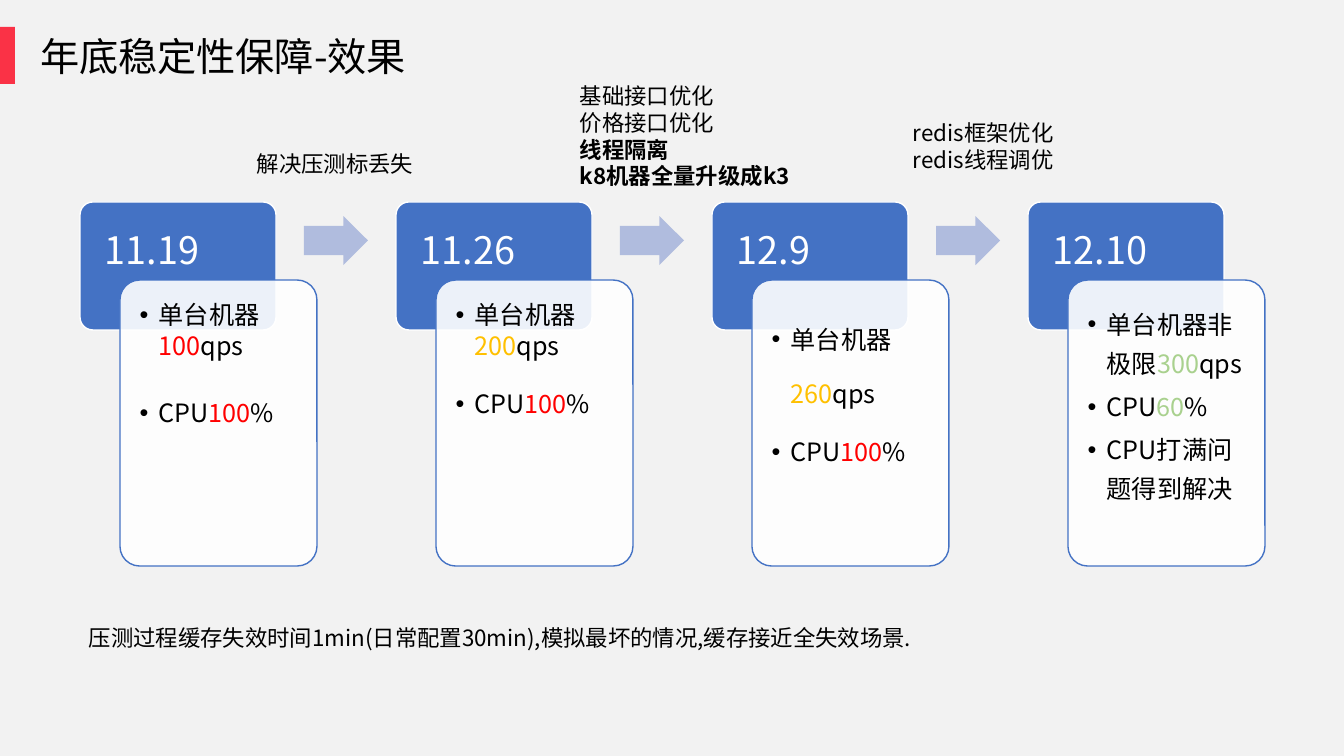
import pptx
import pptx.dml.color
import pptx.enum.shapes
import pptx.enum.text
import pptx.oxml.ns
import pptx.util
from lxml import etree

EMU_PER_PX = 914400 / 100.8
FONT = "Noto Sans CJK SC"
COLORS = {
    "background": "F2F2F2", "accent": "FA3246", "blue": "4472C4",
    "arrow": "B0BCDE", "white": "FFFFFF", "black": "000000",
    "red": "FF0000", "amber": "FFC000", "green": "A9D18E",
}
SHAPES = pptx.enum.shapes.MSO_SHAPE

STAGE_LEFT, STAGE_PITCH = 80, 316
# Each stage: date, then bullets as (line spacing, runs of (text, color)).
STAGES = [
    ("11.19", [(1.0, [("单台机器", "black"), ("100", "red"), ("qps", "black")]),
               (2.1, [("CPU", "black"), ("100", "red"), ("%", "black")])]),
    ("11.26", [(1.0, [("单台机器", "black"), ("200", "amber"), ("qps", "black")]),
               (1.8, [("CPU", "black"), ("100", "red"), ("%", "black")])]),
    ("12.9", [(1.8, [("单台机器", "black"), ("260", "amber"), ("qps", "black")]),
              (1.8, [("CPU", "black"), ("100", "red"), ("%", "black")])]),
    ("12.10", [(1.3, [("单台机器非极限", "black"), ("300", "green"), ("qps", "black")]),
               (1.3, [("CPU", "black"), ("60", "green"), ("%", "black")]),
               (1.3, [("CPU打满问题得到解决", "black")])]),
]
# Each note: box, then lines as (text, bold).
NOTES = [
    ((247, 145, 177, 37), [("解决压测标丢失", False)]),
    ((570, 77, 230, 119), [("基础接口优化", False), ("价格接口优化", False),
                           ("线程隔离", True), ("k8机器全量升级成k3", True)]),
    ((903, 114, 161, 65), [("redis框架优化", False), ("redis线程调优", False)]),
    ((79, 619, 1005, 37), [("压测过程缓存失效时间1min(日常配置30min),"
                            "模拟最坏的情况,缓存接近全失效场景.", False)]),
]


def px(length):
    return pptx.util.Emu(round(length * EMU_PER_PX))


def color(name):
    return pptx.dml.color.RGBColor.from_string(COLORS[name])


class SlideBuilder:
    def __init__(self, presentation):
        self.slide = presentation.slides.add_slide(presentation.slide_layouts[5])
        fill = self.slide.background.fill
        fill.solid()
        fill.fore_color.rgb = color("background")

    def run(self, paragraph, text, size, color_name="black", bold=False):
        run = paragraph.add_run()
        run.text = text
        run.font.size = pptx.util.Pt(size)
        run.font.bold = bold
        run.font.color.rgb = color(color_name)
        run.font.name = FONT
        properties = run.font._element
        etree.SubElement(properties, pptx.oxml.ns.qn("a:ea"), typeface=FONT)

    def frame(self, shape, insets):
        """Prepare a top-anchored, wrapping text frame and return it."""
        frame = shape.text_frame
        frame.word_wrap = True
        frame.vertical_anchor = pptx.enum.text.MSO_ANCHOR.TOP
        (frame.margin_left, frame.margin_top,
         frame.margin_right, frame.margin_bottom) = map(px, insets)
        return frame

    def paragraph(self, frame, index):
        paragraph = frame.add_paragraph() if index else frame.paragraphs[0]
        paragraph.alignment = pptx.enum.text.PP_ALIGN.LEFT
        return paragraph

    def title(self, text, box):
        title = self.slide.shapes.title
        title.left, title.top, title.width, title.height = map(px, box)
        frame = self.frame(title, (10, 5, 10, 5))
        frame.auto_size = pptx.enum.text.MSO_AUTO_SIZE.SHAPE_TO_FIT_TEXT
        self.run(self.paragraph(frame, 0), text, 28)

    def shape(self, kind, box, fill, line=None, adjustments=(), opacity=None):
        shape = self.slide.shapes.add_shape(kind, *map(px, box))
        shape.shadow.inherit = False
        for index, value in enumerate(adjustments):
            shape.adjustments[index] = value
        shape.fill.solid()
        shape.fill.fore_color.rgb = color(fill)
        if opacity:
            tint = shape._element.spPr.find(".//" + pptx.oxml.ns.qn("a:srgbClr"))
            etree.SubElement(tint, pptx.oxml.ns.qn("a:alpha"), val=str(opacity * 1000))
        if line:
            shape.line.color.rgb = color(line)
            shape.line.width = pptx.util.Pt(1)
        else:
            shape.line.fill.background()
        return shape

    def date_card(self, left, date):
        card = self.shape(SHAPES.ROUNDED_RECTANGLE, (left, 202, 196, 128),
                          "blue", "white", (0.1,))
        frame = self.frame(card, (21, 21, 21, 11))
        self.run(self.paragraph(frame, 0), date, 27, "white")

    def detail_card(self, left, bullets):
        card = self.shape(SHAPES.ROUNDED_RECTANGLE, (left, 280, 197, 286),
                          "white", "blue", (0.1,), opacity=90)
        frame = self.frame(card, (14, 14, 14, 14))
        for index, (spacing, runs) in enumerate(bullets):
            paragraph = self.paragraph(frame, index)
            paragraph.level = 1
            properties = paragraph._p.get_or_add_pPr()
            properties.set("marL", str(px(19)))
            properties.set("indent", str(px(-19)))
            etree.SubElement(properties, pptx.oxml.ns.qn("a:buFont"), typeface="Arial")
            etree.SubElement(properties, pptx.oxml.ns.qn("a:buChar"), char="•")
            paragraph.line_spacing = spacing
            paragraph.space_after = pptx.util.Pt(2.7)
            for text, color_name in runs:
                self.run(paragraph, text, 18, color_name)

    def arrow(self, left):
        self.shape(SHAPES.RIGHT_ARROW, (left, 216, 64, 49), "arrow",
                   adjustments=(0.6, 0.5))

    def note(self, box, lines):
        textbox = self.slide.shapes.add_textbox(*map(px, box))
        frame = self.frame(textbox, (10, 5, 10, 5))
        frame.auto_size = pptx.enum.text.MSO_AUTO_SIZE.SHAPE_TO_FIT_TEXT
        for index, (text, bold) in enumerate(lines):
            self.run(self.paragraph(frame, index), text, 16, bold=bold)


def main():
    presentation = pptx.Presentation()
    presentation.slide_width, presentation.slide_height = px(1344), px(756)
    builder = SlideBuilder(presentation)
    builder.title("年底稳定性保障-效果", (30, 27, 392, 57))
    builder.shape(SHAPES.RECTANGLE, (0, 27, 15, 57), "accent")
    for index, (date, bullets) in enumerate(STAGES):
        left = STAGE_LEFT + index * STAGE_PITCH
        builder.date_card(left, date)
        builder.detail_card(left + 40, bullets)
        if index < len(STAGES) - 1:
            builder.arrow(left + 224)
    for box, lines in NOTES:
        builder.note(box, lines)
    presentation.save("out.pptx")


if __name__ == "__main__":
    main()
